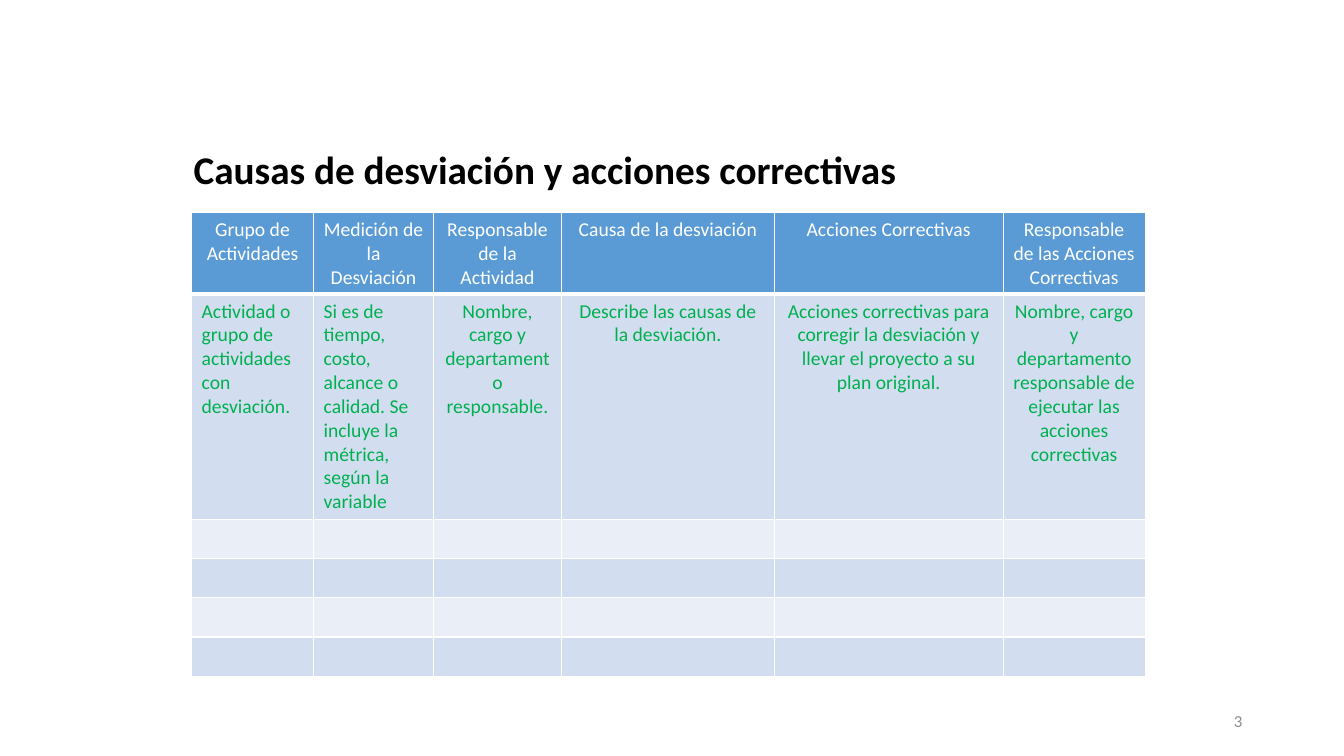
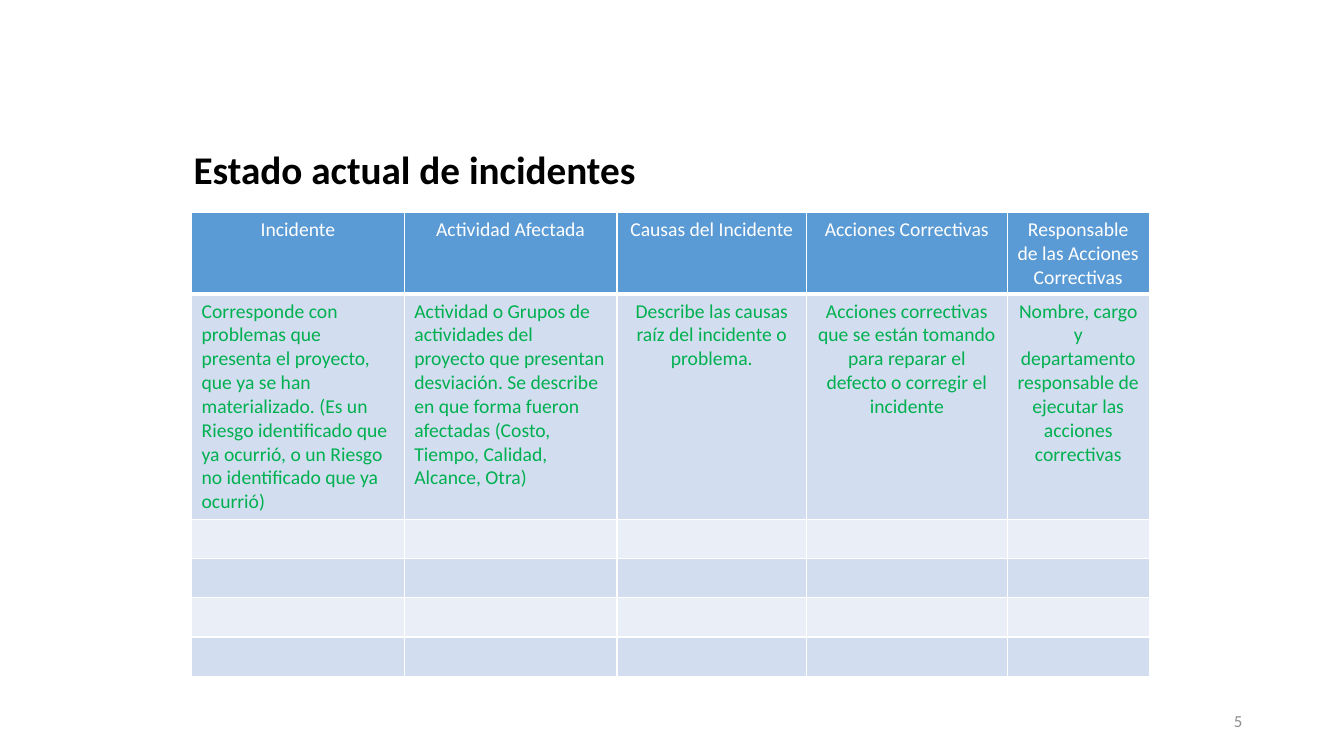
from dataclasses import dataclass

from lxml import etree
from pptx import Presentation
from pptx.dml.color import RGBColor
from pptx.enum import text
from pptx.oxml import ns
from pptx.util import Inches, Pt

FONT = "Calibri"
BLACK = RGBColor(0x00, 0x00, 0x00)
WHITE = RGBColor(0xFF, 0xFF, 0xFF)
GREY = RGBColor(0x8C, 0x8C, 0x8C)
GREEN = RGBColor(0x00, 0xB0, 0x50)
HEADER_BLUE = RGBColor(0x5B, 0x9B, 0xD5)
BANDS = (RGBColor(0xD2, 0xDE, 0xEF), RGBColor(0xEA, 0xEF, 0xF7))

CELL_SIZE = 14
ROW_HEIGHTS = (0.81, 2.23, 0.39, 0.39, 0.39, 0.39)
LEFT, CENTER, RIGHT = text.PP_ALIGN.LEFT, text.PP_ALIGN.CENTER, text.PP_ALIGN.RIGHT


@dataclass(frozen=True)
class Column:
    """A table column: its width in inches, heading, guidance and alignment."""
    width: float
    heading: str
    guidance: str
    align: text.PP_ALIGN = CENTER


@dataclass(frozen=True)
class Page:
    """A titled slide with one table."""
    title: str
    number: str
    columns: tuple[Column, ...]


ACTION_OWNER = Column(
    1.41, "Responsable de las Acciones Correctivas",
    "Nombre, cargo y departamento responsable de ejecutar las acciones correctivas")

PAGES = (
    Page("Causas de desviación y acciones correctivas", "3", (
        Column(1.21, "Grupo de Actividades",
               "Actividad o grupo de actividades con desviación.", LEFT),
        Column(1.19, "Medición de la Desviación",
               "Si es de tiempo, costo, alcance o calidad. Se incluye la métrica, "
               "según la variable", LEFT),
        Column(1.27, "Responsable de la Actividad",
               "Nombre, cargo y departamento responsable."),
        Column(2.11, "Causa de la desviación",
               "Describe las causas de la desviación."),
        Column(2.27, "Acciones Correctivas",
               "Acciones correctivas para corregir la desviación y llevar el "
               "proyecto a su plan original."),
        ACTION_OWNER,
    )),
    Page("Estado actual de incidentes", "5", (
        Column(2.11, "Incidente",
               "Corresponde con problemas que presenta el proyecto, que ya se han "
               "materializado. (Es un Riesgo identificado que ya ocurrió, o un "
               "Riesgo no identificado que ya ocurrió)", LEFT),
        Column(2.11, "Actividad Afectada",
               "Actividad o Grupos de actividades del proyecto que presentan "
               "desviación. Se describe en que forma fueron afectadas (Costo, "
               "Tiempo, Calidad, Alcance, Otra)", LEFT),
        Column(1.88, "Causas del Incidente",
               "Describe las causas raíz del incidente o problema."),
        Column(1.99, "Acciones Correctivas",
               "Acciones correctivas que se están tomando para reparar el defecto "
               "o corregir el incidente"),
        ACTION_OWNER,
    )),
)


def write(tf, words: str, size: float, color: RGBColor, align, bold: bool = False) -> None:
    """Put one formatted run in the first paragraph of a text frame."""
    p = tf.paragraphs[0]
    p.alignment = align
    r = p.add_run()
    r.text = words
    r.font.name, r.font.size, r.font.bold = FONT, Pt(size), bold
    r.font.color.rgb = color


def place(sp, left: float, top: float, width: float, height: float):
    """Position a text shape and return its wrapped, middle-anchored frame."""
    sp.left, sp.top = Inches(left), Inches(top)
    sp.width, sp.height = Inches(width), Inches(height)
    tf = sp.text_frame
    tf.word_wrap = True
    tf.auto_size = text.MSO_AUTO_SIZE.NONE
    tf.vertical_anchor = text.MSO_ANCHOR.MIDDLE
    return tf


def style_cell(cell, fill: RGBColor, bottom: float = 1) -> None:
    """Give a cell white borders and a solid fill."""
    props = cell._tc.get_or_add_tcPr()
    for side, width in (("L", 1), ("R", 1), ("T", 1), ("B", bottom)):
        line = etree.SubElement(props, ns.qn(f"a:ln{side}"), w=str(Pt(width)))
        solid = etree.SubElement(line, ns.qn("a:solidFill"))
        etree.SubElement(solid, ns.qn("a:srgbClr"), val=str(WHITE))
    cell.fill.solid()
    cell.fill.fore_color.rgb = fill


def add_grid(s, columns: tuple[Column, ...]) -> None:
    """Add the table: headings, a guidance row and empty banded rows."""
    table = s.shapes.add_table(
        len(ROW_HEIGHTS), len(columns), Inches(1.9), Inches(2.11),
        Inches(sum(c.width for c in columns)), Inches(sum(ROW_HEIGHTS))).table
    table.first_row = table.horz_banding = False
    for row, height in zip(table.rows, ROW_HEIGHTS):
        row.height = Inches(height)
    for i, column in enumerate(columns):
        table.columns[i].width = Inches(column.width)
        heading, guidance, *blanks = (table.cell(j, i) for j in range(len(ROW_HEIGHTS)))
        style_cell(heading, HEADER_BLUE, bottom=3)
        write(heading.text_frame, column.heading, CELL_SIZE, WHITE, CENTER)
        write(guidance.text_frame, column.guidance, CELL_SIZE, GREEN, column.align)
        for j, cell in enumerate((guidance, *blanks)):
            style_cell(cell, BANDS[j % 2])
        for cell in blanks:
            etree.SubElement(cell.text_frame.paragraphs[0]._p,
                             ns.qn("a:endParaRPr"), sz=str(CELL_SIZE * 100))


def add_page(prs, page: Page) -> None:
    """Add a slide with its title, number and table."""
    s = prs.slides.add_slide(prs.slide_layouts.get_by_name("Title Only"))
    title = place(s.shapes.title, 1.82, 1.48, 8.5, 0.39)
    write(title, page.title, 28, BLACK, LEFT, bold=True)
    box = s.shapes.add_textbox(0, 0, 0, 0)
    write(place(box, 9.42, 6.95, 3, 0.4), page.number, 12, GREY, RIGHT)
    add_grid(s, page.columns)


def main() -> None:
    """Build and save the presentation."""
    prs = Presentation()
    prs.slide_width, prs.slide_height = Inches(13.33), Inches(7.5)
    for page in PAGES:
        add_page(prs, page)
    prs.save("out.pptx")


main()
